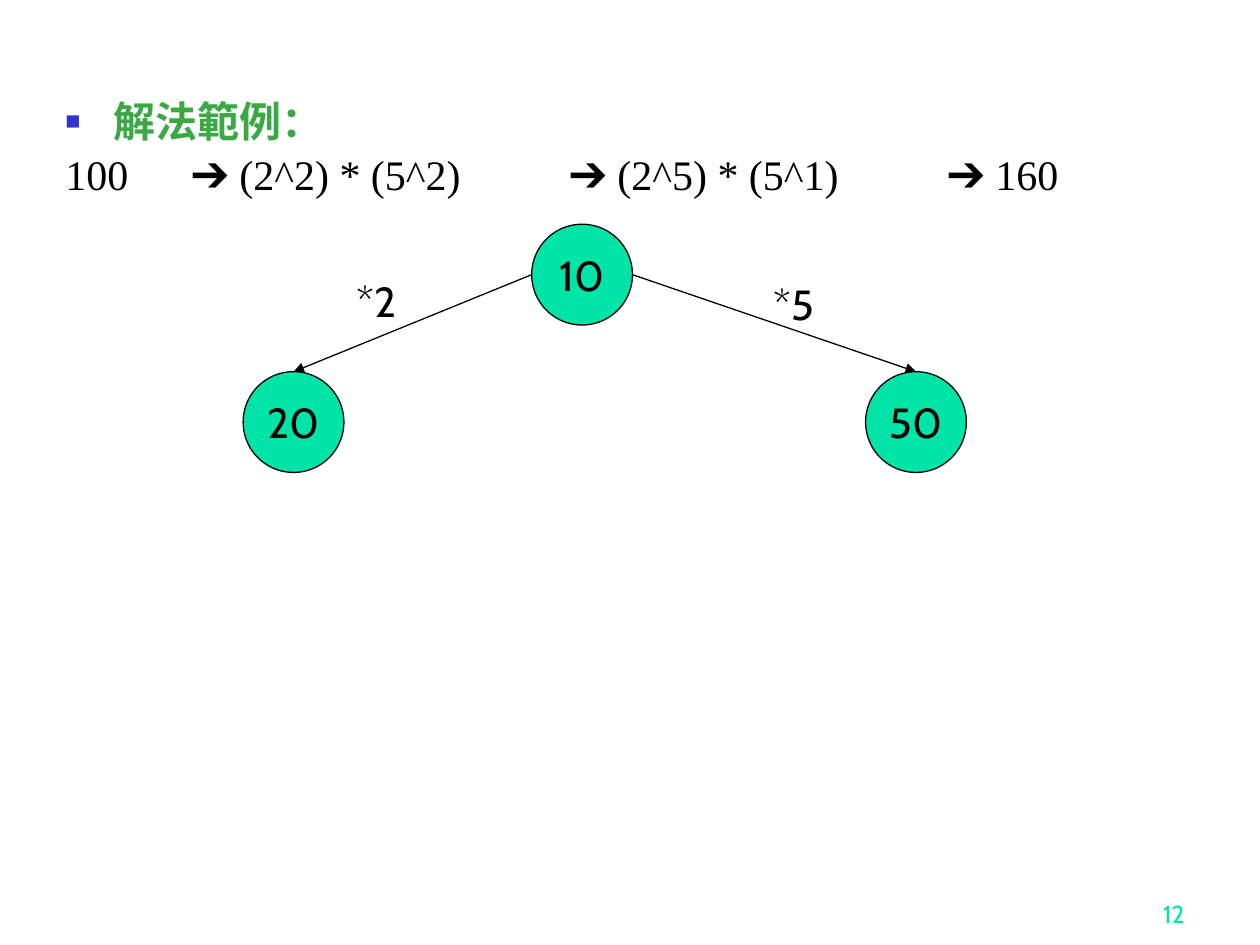
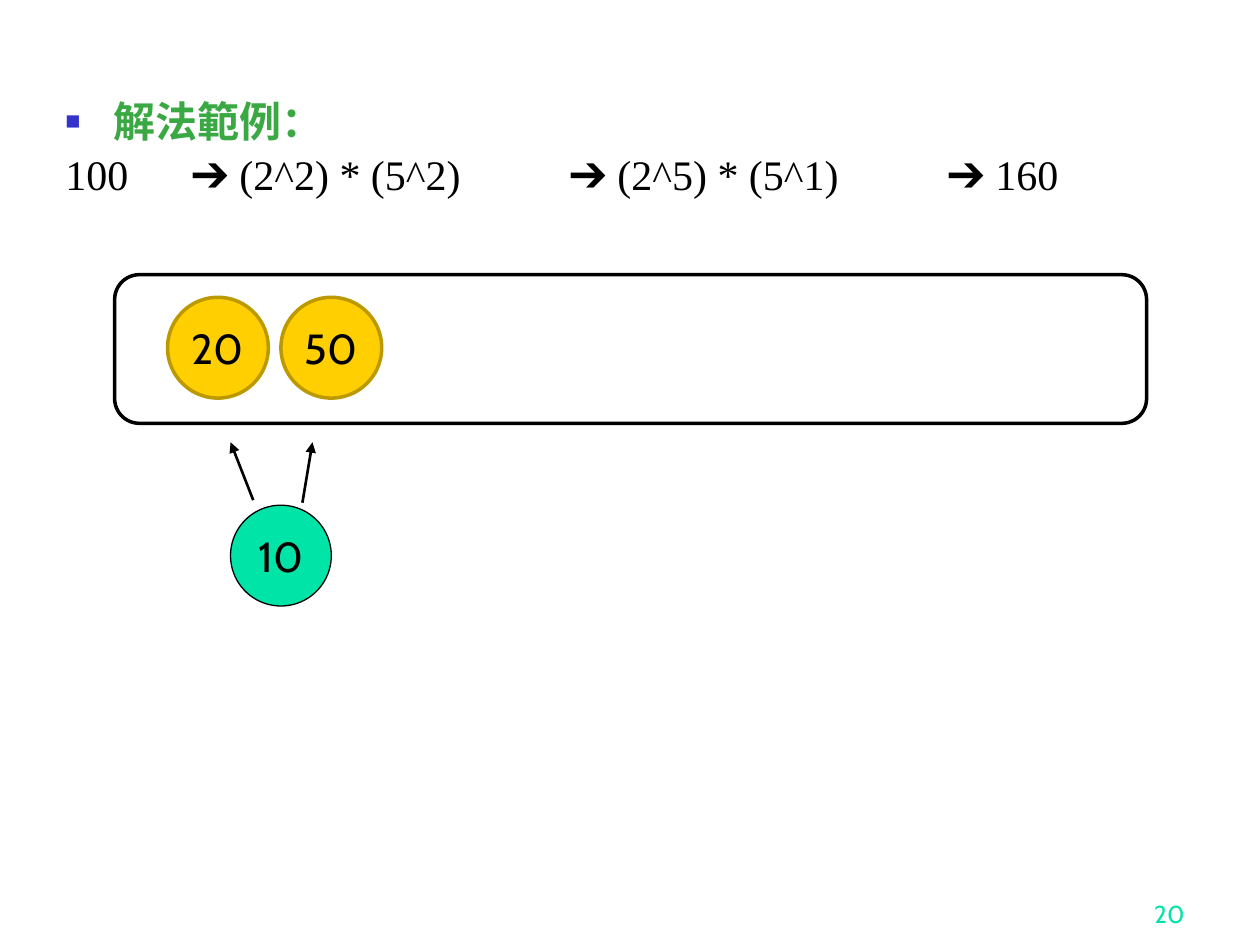
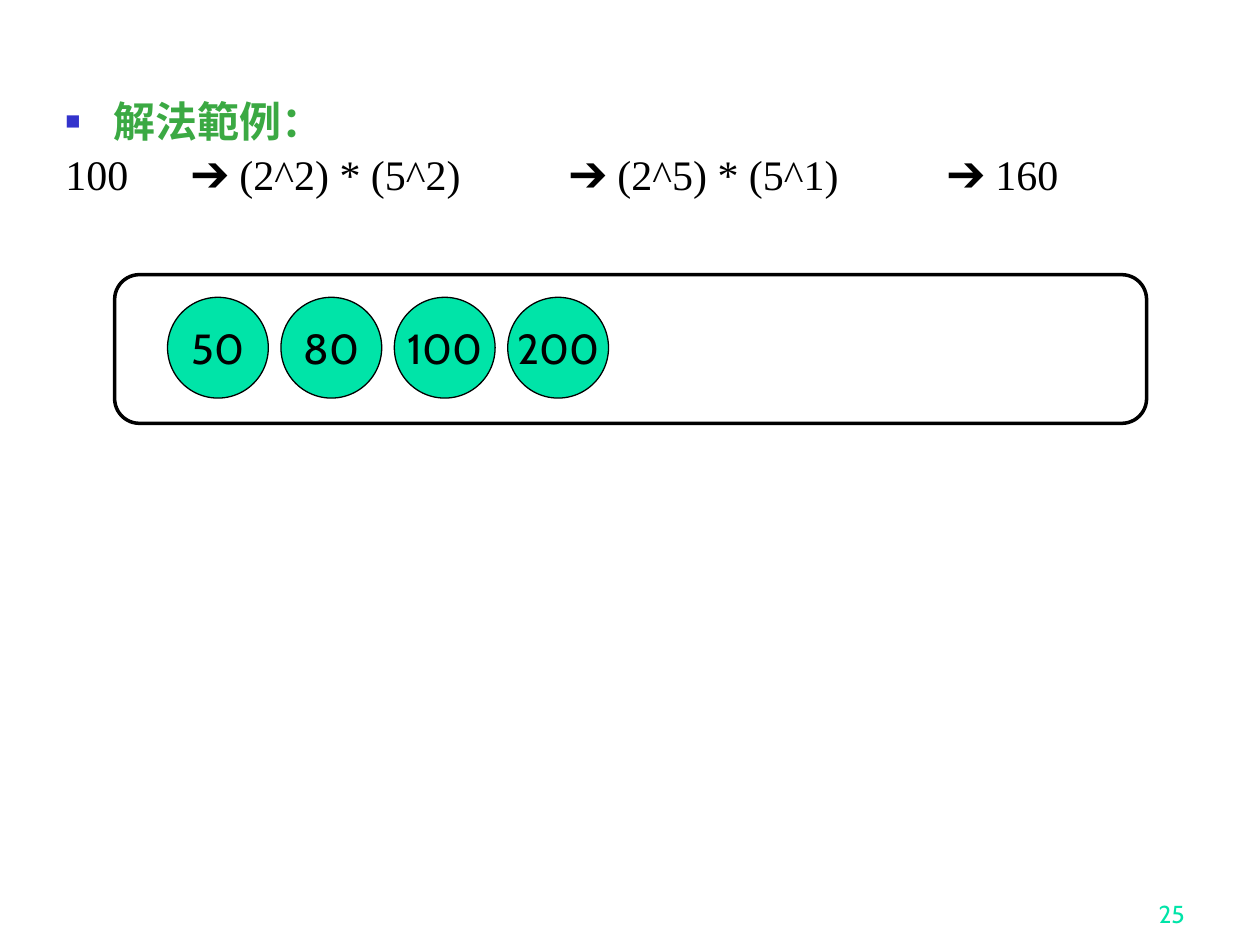
from lxml import etree
from pptx import Presentation
from pptx.dml.color import RGBColor
from pptx.enum.shapes import MSO_CONNECTOR, MSO_SHAPE
from pptx.enum.text import MSO_ANCHOR, PP_ALIGN
from pptx.oxml.ns import qn
from pptx.util import Inches, Pt

OVAL = MSO_SHAPE.OVAL
ROUND = MSO_SHAPE.ROUNDED_RECTANGLE
LINE = MSO_CONNECTOR.STRAIGHT
LEFT, MID, RIGHT = PP_ALIGN.LEFT, PP_ALIGN.CENTER, PP_ALIGN.RIGHT
TOP, HALF, LOW = MSO_ANCHOR.TOP, MSO_ANCHOR.MIDDLE, MSO_ANCHOR.BOTTOM

COLORS = {
    "ink": "000000",
    "paper": "FFFFFF",
    "mint": "00E4A8",
    "head": "3BA943",
    "mark": "3333CC",
    "gold": "FFCF01",
    "rim": "BD9901",
}
SANS, SERIF = "Cabin", "Times New Roman"
SIZE = 0.8
ROW_X, ROW_Y, STEP = 1.33, 2.36, 0.9
HEAD = "解法範例："
PROOF = "100\t➔ (2^2) * (5^2) \t➔ (2^5) * (5^1) \t➔ 160"


def color(name):
    return RGBColor.from_string(COLORS[name])


def add(parent, tag, **attrs):
    return etree.SubElement(parent, qn(tag), attrs)


class Deck:
    def __init__(self):
        self.prs = Presentation()
        self.prs.slide_width = Inches(10)
        self.prs.slide_height = Inches(7.5)
        self.slide = None

    def page(self, number):
        self.slide = self.prs.slides.add_slide(self.prs.slide_layouts[6])
        self.text(7.42, 6.92, 2.08, 0.5, str(number), 14, "mint", RIGHT, LOW)
        self.body()

    def style(self, para, size, ink, face=SANS, bold=False):
        for run in para.runs:
            run.font.size = Pt(size)
            run.font.name = face
            run.font.bold = bold
            run.font.color.rgb = color(ink)

    def text(self, x, y, w, h, words, size=24, ink="ink", align=LEFT, anchor=TOP):
        box = self.slide.shapes.add_textbox(Inches(x), Inches(y), Inches(w), Inches(h))
        frame = box.text_frame
        frame.word_wrap = True
        frame.vertical_anchor = anchor
        frame.text = words
        para = frame.paragraphs[0]
        para.alignment = align
        self.style(para, size, ink)
        return frame

    def body(self):
        frame = self.text(0.42, 0.75, 9.47, 6.15, HEAD)
        head, proof = frame.paragraphs[0], frame.add_paragraph()
        proof.text = PROOF

        props = head._p.get_or_add_pPr()
        props.set("marL", str(Inches(0.38)))
        props.set("indent", str(Inches(-0.38)))
        add(add(props, "a:buClr"), "a:srgbClr", val=COLORS["mark"])
        add(props, "a:buSzPct", val="60000")
        add(props, "a:buFont", typeface="Arial")
        add(props, "a:buChar", char="■")

        tabs = add(proof._p.get_or_add_pPr(), "a:tabLst")
        for stop in (1, 4, 7):
            add(tabs, "a:tab", pos=str(Inches(stop)), algn="l")

        head.line_spacing = proof.line_spacing = 0.9
        proof.space_before = Pt(4.8)
        self.style(head, 24, "head", SERIF, True)
        self.style(proof, 24, "ink", SERIF)

    def shape(self, kind, x, y, w, h, fill, edge, width):
        item = self.slide.shapes.add_shape(kind, Inches(x), Inches(y), Inches(w), Inches(h))
        item.shadow.inherit = False
        item.fill.solid()
        item.fill.fore_color.rgb = color(fill)
        item.line.color.rgb = color(edge)
        item.line.width = Pt(width)
        return item

    def node(self, x, y, value, fill="mint", edge="ink", width=0.75):
        frame = self.shape(OVAL, x, y, SIZE, SIZE, fill, edge, width).text_frame
        frame.word_wrap = False
        frame.vertical_anchor = HALF
        frame.text = str(value)
        para = frame.paragraphs[0]
        para.alignment = MID
        self.style(para, 24, "ink")

    def queue(self, values, **look):
        self.shape(ROUND, 0.91, 2.18, 8.19, 1.18, "paper", "ink", 2)
        for i, value in enumerate(values):
            self.node(ROW_X + i * STEP, ROW_Y, value, **look)

    def arrow(self, x1, y1, x2, y2, width=0.75):
        line = self.slide.shapes.add_connector(
            LINE, Inches(x1), Inches(y1), Inches(x2), Inches(y2))
        line.line.color.rgb = color("ink")
        line.line.width = Pt(width)
        add(line.line._get_or_add_ln(), "a:tailEnd", type="triangle")
        add(line._element.spPr, "a:effectLst")


def tree(deck):
    deck.page(12)
    x, y, low = 4.22, 1.78, 2.95
    deck.node(x, y, 10)
    branches = (
        (1.93, 20, x, "*2", 2.73, 2.14),
        (6.87, 50, x + SIZE, "*5", 6.04, 2.16),
    )
    for left, value, start, label, tx, ty in branches:
        deck.node(left, low, value)
        deck.arrow(start, y + SIZE / 2, left + SIZE / 2, low)
        deck.text(tx, ty, 0.69, 0.5, label)


def push(deck):
    deck.page(20)
    deck.queue((20, 50), fill="gold", edge="rim", width=2)
    deck.node(1.83, 4.01, 10)
    deck.arrow(2.01, 3.97, 1.83, 3.51, 1.5)
    deck.arrow(2.4, 3.99, 2.48, 3.51, 1.5)


def state(deck):
    deck.page(25)
    deck.queue((50, 80, 100, 200))


def main():
    deck = Deck()
    tree(deck)
    push(deck)
    state(deck)
    deck.prs.save("out.pptx")


if __name__ == "__main__":
    main()
